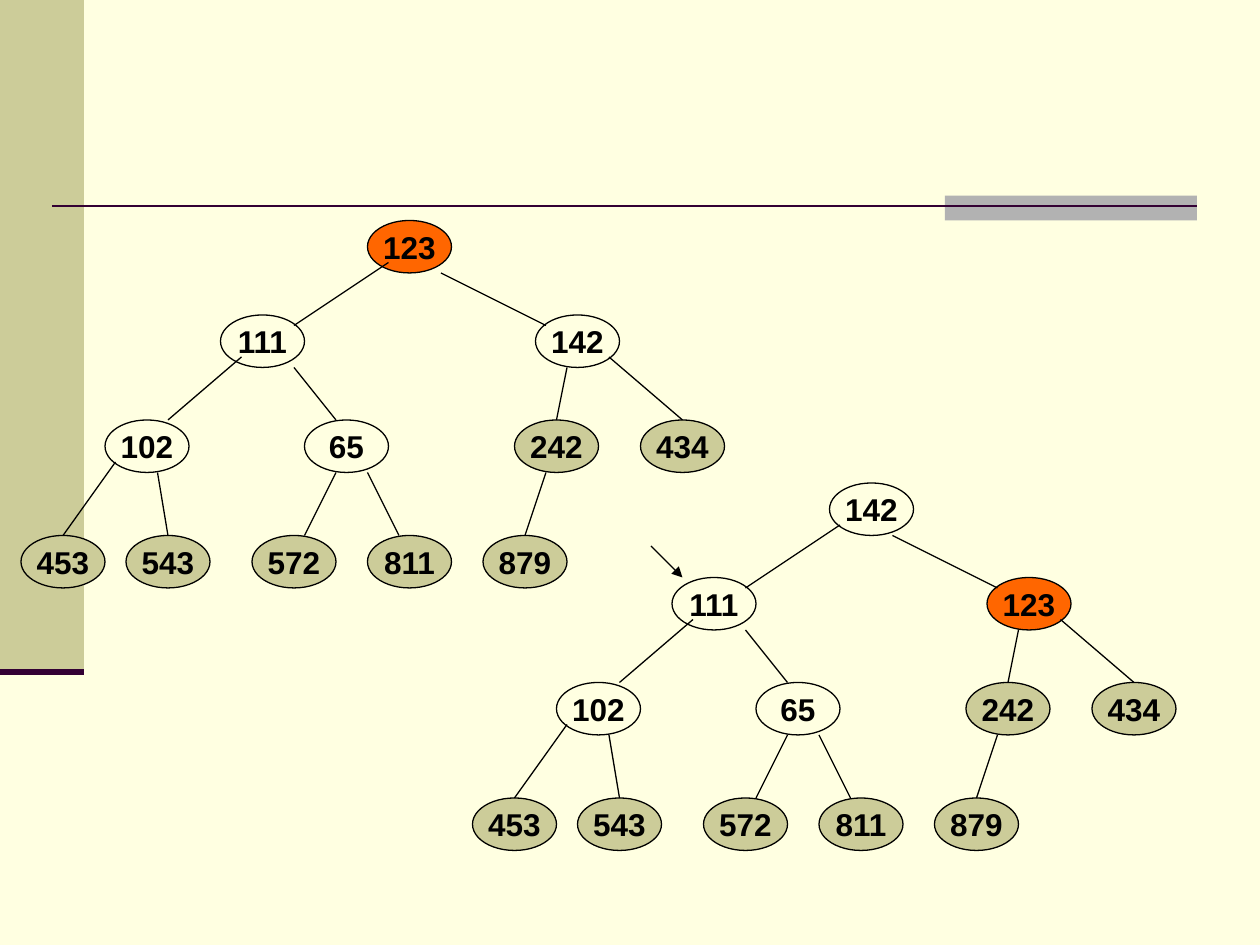
import dataclasses

import pptx
import pptx.dml.color
import pptx.enum.shapes
import pptx.enum.text
import pptx.oxml.ns
import pptx.util
from lxml import etree

EMU_PER_PX = 9525  # 96 px to the inch
SHAPES = pptx.enum.shapes.MSO_SHAPE


@dataclasses.dataclass(frozen=True)
class Theme:
    background: str = "FFFFE1"
    olive: str = "CCCC99"
    grey: str = "B2B2B2"
    plum: str = "330033"
    orange: str = "FF6600"
    ink: str = "000000"
    font: str = "Arial"
    key_size: int = 18
    thin: float = 0.75
    rule: float = 1.5
    thick: float = 3.5


NODE_WIDTH, NODE_HEIGHT = 64, 40
LEVEL_TOPS = [168, 240, 320, 408]
# Left edges in heap order: the children of node i are 2i + 1 and 2i + 2
NODE_LEFTS = [280, 168, 408, 80, 232, 392, 488, 16, 96, 192, 280, 368]
FIRST_OLIVE = 5
# Branch into each node after the root: start x, start y, end x, end y
BRANCHES = [
    (296, 200, 224, 248), (336, 208, 416, 248),
    (184, 272, 128, 320), (224, 280, 256, 320),
    (432, 280, 424, 320), (464, 272, 520, 320),
    (88, 352, 48, 408), (120, 360, 128, 408),
    (256, 360, 232, 408), (280, 360, 304, 408),
    (416, 360, 400, 408),
]
MOVING_KEY = 123
LOWER_KEYS = [102, 65, 242, 434, 453, 543, 572, 811, 879]


def px(length):
    return pptx.util.Emu(length * EMU_PER_PX)


def rgb(colour):
    return pptx.dml.color.RGBColor.from_string(colour)


class HeapSlide:
    """Draws on one slide in one theme, with lengths in px."""

    def __init__(self, slide, theme):
        self.slide = slide
        self.theme = theme
        slide.background.fill.solid()
        slide.background.fill.fore_color.rgb = rgb(theme.background)

    def block(self, left, top, width, height, fill, kind=SHAPES.RECTANGLE):
        shape = self.slide.shapes.add_shape(
            kind, px(left), px(top), px(width), px(height))
        shape.shadow.inherit = False
        shape.fill.solid()
        shape.fill.fore_color.rgb = rgb(fill)
        shape.line.fill.background()
        return shape

    def line(self, x1, y1, x2, y2, colour, weight):
        line = self.slide.shapes.add_connector(
            pptx.enum.shapes.MSO_CONNECTOR.STRAIGHT,
            px(x1), px(y1), px(x2), px(y2))
        line.line.color.rgb = rgb(colour)
        line.line.width = pptx.util.Pt(weight)
        etree.SubElement(line._element.spPr, pptx.oxml.ns.qn("a:effectLst"))
        return line

    def arrow(self, x1, y1, x2, y2):
        arrow = self.line(x1, y1, x2, y2, self.theme.ink, self.theme.thin)
        etree.SubElement(arrow.line._get_or_add_ln(),
                         pptx.oxml.ns.qn("a:tailEnd"), type="triangle")

    def node(self, left, top, key, fill):
        node = self.block(left, top, NODE_WIDTH, NODE_HEIGHT, fill, SHAPES.OVAL)
        node.line.color.rgb = rgb(self.theme.ink)
        node.line.width = pptx.util.Pt(self.theme.thin)
        frame = node.text_frame
        frame.word_wrap = False
        frame.vertical_anchor = pptx.enum.text.MSO_ANCHOR.MIDDLE
        frame.text = str(key)
        paragraph = frame.paragraphs[0]
        paragraph.alignment = pptx.enum.text.PP_ALIGN.CENTER
        font = paragraph.runs[0].font
        font.name = self.theme.font
        font.size = pptx.util.Pt(self.theme.key_size)
        font.bold = True
        font.color.rgb = rgb(self.theme.ink)
        return node

    def node_fill(self, index, key):
        if key == MOVING_KEY:
            return self.theme.orange
        return self.theme.olive if index >= FIRST_OLIVE else self.theme.background

    def heap(self, keys, dx=0, dy=0, root_nudge=0):
        """Draw the keys, in heap order, as a tree moved by dx and dy."""
        nodes = []
        for index, (left, key) in enumerate(zip(NODE_LEFTS, keys)):
            level = (index + 1).bit_length() - 1
            nudge = root_nudge if index == 0 else 0
            nodes.append(self.node(left + dx + nudge, LEVEL_TOPS[level] + dy,
                                   key, self.node_fill(index, key)))
        for child, (x1, y1, x2, y2) in zip(nodes[1:], BRANCHES):
            branch = self.line(x1 + dx, y1 + dy, x2 + dx, y2 + dy,
                               self.theme.ink, self.theme.thin)
            top_middle = (child.left + child.width // 2, child.top)
            if (branch.end_x, branch.end_y) == top_middle:
                branch.end_connect(child, 0)

    def frame(self):
        theme = self.theme
        self.block(0, 0, 64, 512, theme.olive)
        self.block(720, 149, 192, 19, theme.grey)
        self.line(40, 157, 912, 157, theme.plum, theme.rule)
        self.line(0, 512, 64, 512, theme.plum, theme.thick)


def main():
    deck = pptx.Presentation()
    deck.slide_width, deck.slide_height = px(960), px(720)
    blank = deck.slide_layouts[6]
    page = HeapSlide(deck.slides.add_slide(blank), Theme())
    page.frame()
    page.heap([123, 111, 142] + LOWER_KEYS)
    page.heap([142, 111, 123] + LOWER_KEYS, dx=344, dy=200, root_nudge=8)
    page.arrow(496, 416, 520, 440)
    deck.save("out.pptx")


if __name__ == "__main__":
    main()
